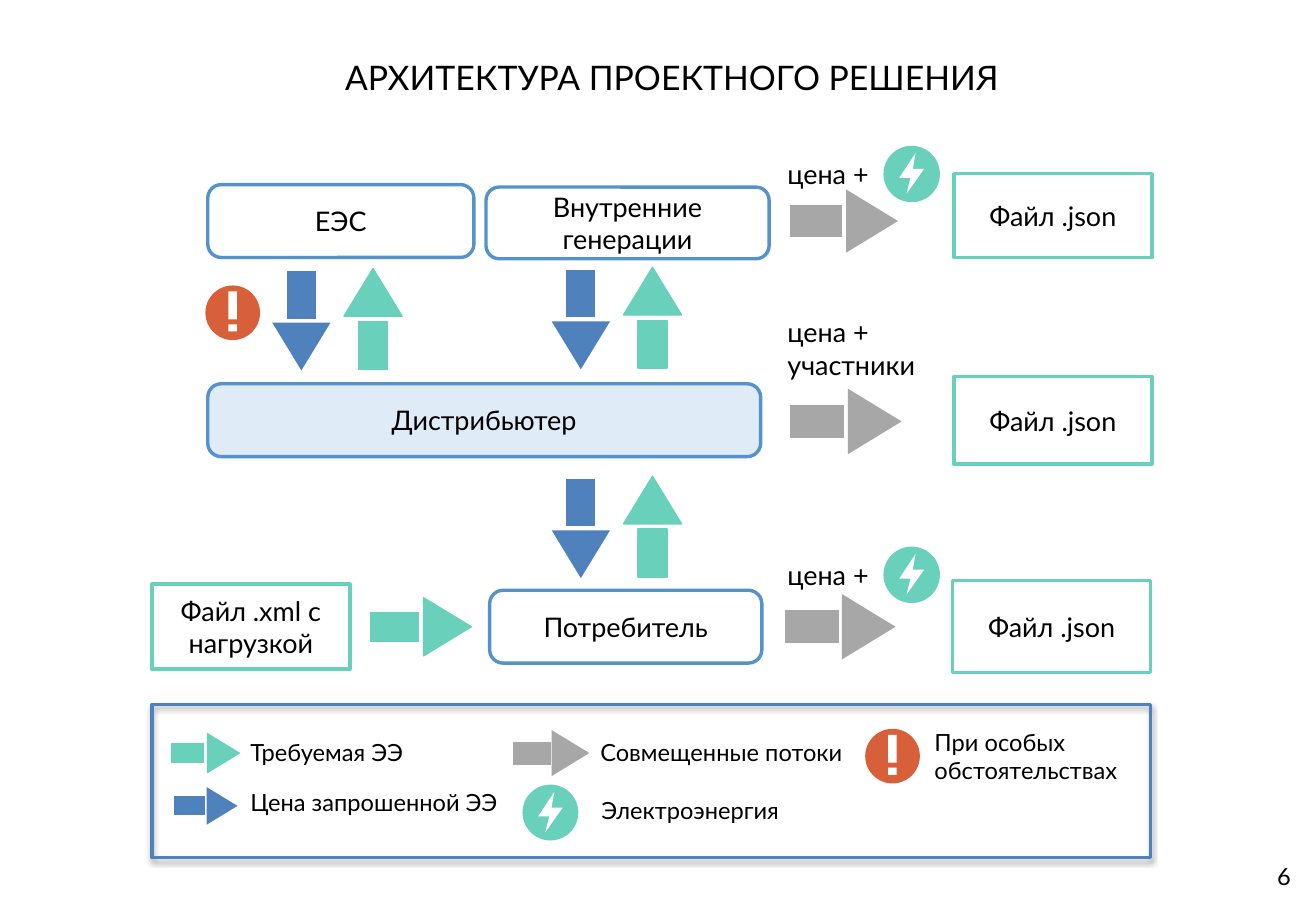
import pptx
import pptx.util
import pptx.oxml
import pptx.oxml.ns
import pptx.dml.color
import pptx.enum.shapes
import pptx.enum.text

# The slide is a grid of 108.3 columns by 75 rows
SLIDE_WIDTH = pptx.util.Inches(10.83)
SLIDE_HEIGHT = pptx.util.Inches(7.5)
COLUMN = SLIDE_WIDTH / 108.3
ROW = SLIDE_HEIGHT / 75

FONT = "Lato"
INSET = pptx.util.Inches(0.05)
COLORS = {
    "text": "000000", "white": "FFFFFF", "node_line": "5492CC", "node_fill": "DFEBF7",
    "demand": "69D0BC", "price": "4F81BD", "combined": "A7A7A7", "alert": "D7603A",
}
SHAPES = pptx.enum.shapes.MSO_SHAPE
ALIGN = pptx.enum.text.PP_ALIGN
ANCHOR = pptx.enum.text.MSO_ANCHOR

# Lightning outline as shares of its circle
BOLT = [(0.57, 0.13), (0.28, 0.57), (0.48, 0.57), (0.41, 0.85), (0.72, 0.41), (0.52, 0.41)]


def grid(left, top, width, height):
    return [round(length * unit) for length, unit in
            zip((left, top, width, height), (COLUMN, ROW, COLUMN, ROW))]


def color(name):
    return pptx.dml.color.RGBColor.from_string(COLORS[name])


def paint(shape, fill=None, line=None, line_width=2):
    shape.shadow.inherit = False
    if fill:
        shape.fill.solid()
        shape.fill.fore_color.rgb = color(fill)
    else:
        shape.fill.background()
    if line:
        shape.line.color.rgb = color(line)
        shape.line.width = pptx.util.Pt(line_width)
    else:
        shape.line.fill.background()


def write(shape, text, size, align, anchor, inset=INSET):
    frame = shape.text_frame
    frame.text = text
    frame.word_wrap = True
    frame.vertical_anchor = anchor
    frame.margin_left = frame.margin_right = inset
    frame.margin_top = frame.margin_bottom = INSET
    paragraph = frame.paragraphs[0]
    paragraph.alignment = align
    for run in paragraph.runs:
        run.font.name = FONT
        run.font.size = pptx.util.Pt(size)
        run.font.color.rgb = color("text")


def add_box(slide, kind, box, line, fill=None, text=None):
    shape = slide.shapes.add_shape(kind, *grid(*box))
    if kind == SHAPES.ROUNDED_RECTANGLE:
        shape.adjustments[0] = 0.184
    paint(shape, fill, line)
    if text:
        write(shape, text, 16, ALIGN.CENTER, ANCHOR.MIDDLE)
    return shape


def add_label(slide, box, text, size=16):
    shape = slide.shapes.add_textbox(*grid(*box))
    write(shape, text, size, ALIGN.LEFT, ANCHOR.TOP)
    shape.text_frame.auto_size = pptx.enum.text.MSO_AUTO_SIZE.SHAPE_TO_FIT_TEXT


def add_outline(slide, points, fill, line=None):
    corners = [(round(x * COLUMN), round(y * ROW)) for x, y in points]
    builder = slide.shapes.build_freeform(*corners[0], scale=1.0)
    builder.add_line_segments(corners[1:], close=True)
    paint(builder.convert_to_shape(), fill, line, 0.75)


def add_arrow(slide, direction, left, top, breadth, length, flow):
    """Triangle and separate tail, each 0.82 of the breadth deep."""
    depth = 0.82 * breadth
    head = [(length - depth, 0), (length - depth, breadth), (length, breadth / 2)]
    near, far = breadth / 4, breadth * 3 / 4
    tail = [(0, near), (depth, near), (depth, far), (0, far)]
    turn = {
        "right": lambda along, across: (left + along, top + across),
        "down": lambda along, across: (left + across, top + along),
        "up": lambda along, across: (left + across, top + length - along),
    }[direction]
    line = flow if flow == "demand" else None
    for part in (head, tail):
        add_outline(slide, [turn(*point) for point in part], flow, line)


def add_exchange(slide, left, top):
    """Price going down beside demand going up."""
    add_arrow(slide, "up", left + 5.9, top - 0.2, 4.8, 8.3, "demand")
    add_arrow(slide, "down", left, top, 4.8, 8.2, "price")


def add_circle(slide, left, top, diameter, fill):
    circle = slide.shapes.add_shape(SHAPES.OVAL, *grid(left, top, diameter, diameter))
    paint(circle, fill)


def add_energy_icon(slide, left, top, diameter=4.65):
    add_circle(slide, left, top, diameter, "demand")
    add_outline(slide, [(left + x * diameter, top + y * diameter) for x, y in BOLT], "white")


def add_alert_icon(slide, left, top):
    add_circle(slide, left, top, 4.5, "alert")
    for offset, height in ((0.5, 2.3), (3.2, 0.6)):
        bar = slide.shapes.add_shape(SHAPES.RECTANGLE,
                                     *grid(left + 1.9, top + offset, 0.7, height))
        paint(bar, "white")


def add_legend(slide):
    frame = add_box(slide, SHAPES.RECTANGLE, (12.5, 58, 82.2, 12.6), "price")
    effects = frame.element.spPr.find(pptx.oxml.ns.qn("a:effectLst"))
    effects.append(pptx.oxml.parse_xml(
        f'<a:outerShdw {pptx.oxml.ns.nsdecls("a")} blurRad="38100" dist="22860" '
        'dir="5400000" rotWithShape="0"><a:srgbClr val="000000">'
        '<a:alpha val="35000"/></a:srgbClr></a:outerShdw>'))
    for left, top, breadth, length, flow in (
            (14.1, 60.4, 3.2, 5.6, "demand"),
            (14.3, 64.8, 3.1, 5.25, "price"),
            (42.2, 60.1, 3.8, 6.3, "combined")):
        add_arrow(slide, "right", left, top, breadth, length, flow)
    add_energy_icon(slide, 43, 64.6, 4.6)
    add_alert_icon(slide, 71.2, 60)
    for box, text in (
            ((20.1, 60.3, 17.5, 3.4), "Требуемая ЭЭ"),
            ((20.1, 64.4, 21.8, 3.4), "Цена запрошенной ЭЭ"),
            ((48.9, 60.3, 25.6, 3.4), "Совмещенные потоки"),
            ((49, 65, 25.6, 3.4), "Электроэнергия"),
            ((76.4, 59.4, 18.9, 5.7), "При особых обстоятельствах")):
        add_label(slide, box, text, 14)


def main():
    presentation = pptx.Presentation()
    presentation.slide_width = SLIDE_WIDTH
    presentation.slide_height = SLIDE_HEIGHT
    slide = presentation.slides.add_slide(presentation.slide_layouts[6])

    # Title
    add_label(slide, (27.9, 4.2, 72.7, 4.4), "АРХИТЕКТУРА ПРОЕКТНОГО РЕШЕНИЯ", 20)

    # Participants
    for box, fill, text in (
            ((17.1, 31.6, 45.5, 6), "node_fill", "Дистрибьютер"),
            ((40, 15.4, 23.3, 5.9), "white", "Внутренние генерации"),
            ((40.3, 48.6, 22.4, 6), "white", "Потребитель"),
            ((17.1, 15.2, 21.9, 6), "white", "ЕЭС")):
        add_box(slide, SHAPES.ROUNDED_RECTANGLE, box, "node_line", fill, text)

    # Files
    for left, top, height, text in (
            (12.5, 48.1, 7, "Файл .xml с нагрузкой"),
            (78.5, 14.3, 6.9, "Файл .json"),
            (78.5, 31, 7.2, "Файл .json"),
            (78.4, 47.8, 7.6, "Файл .json")):
        add_box(slide, SHAPES.RECTANGLE, (left, top, 16.3, height), "demand", text=text)

    # Flows between participants
    for left, top in ((22.4, 22.3), (45.4, 22.2), (45.4, 39.4)):
        add_exchange(slide, left, top)
    add_arrow(slide, "right", 30.5, 49.2, 4.8, 8.3, "demand")
    add_alert_icon(slide, 16.9, 23.5)

    # Flows into the files
    for left, top, breadth, length in (
            (65, 15.6, 5.2, 8.9), (65, 32, 5.4, 9.2), (64.6, 48.9, 5.4, 9.1)):
        add_arrow(slide, "right", left, top, breadth, length, "combined")
    add_label(slide, (64.3, 12.5, 17.4, 3.7), "цена +")
    add_label(slide, (64.3, 25.5, 15.8, 6.4), "цена + участники")
    add_label(slide, (64.3, 45.5, 17.4, 3.7), "цена +")
    for top in (12, 45):
        add_energy_icon(slide, 72.7, top)

    add_legend(slide)

    # Slide number
    number = slide.shapes.add_textbox(*grid(101.4, 70.1, 5.8, 4))
    write(number, "6", 14, ALIGN.RIGHT, ANCHOR.MIDDLE, pptx.util.Inches(0.1))

    presentation.save("out.pptx")


if __name__ == "__main__":
    main()
